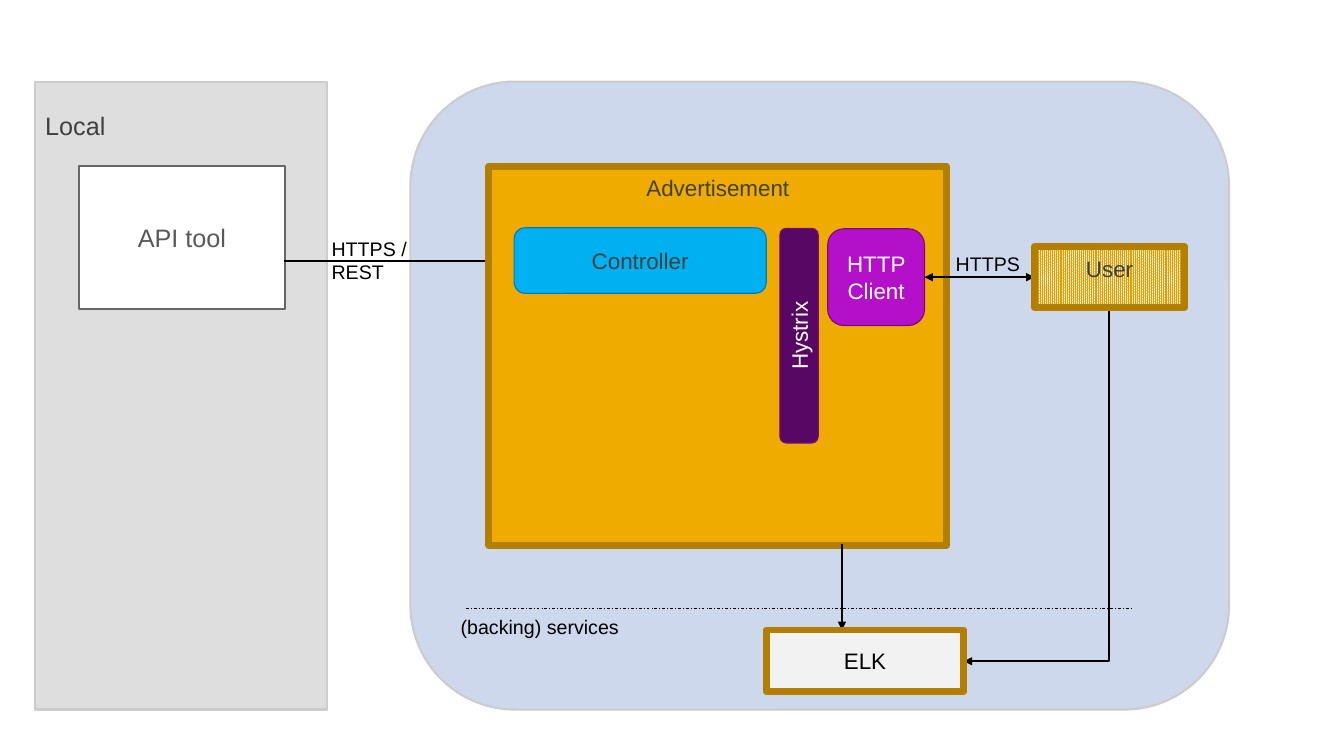
from lxml import etree
from pptx import Presentation
from pptx.dml.color import RGBColor
from pptx.enum.dml import MSO_LINE, MSO_PATTERN
from pptx.enum.shapes import MSO_CONNECTOR, MSO_SHAPE
from pptx.enum.text import MSO_ANCHOR, PP_ALIGN
from pptx.oxml.ns import qn
from pptx.util import Inches, Pt

RECT = MSO_SHAPE.RECTANGLE
ROUND = MSO_SHAPE.ROUNDED_RECTANGLE
STRAIGHT = MSO_CONNECTOR.STRAIGHT
DASH = MSO_LINE.DASH_DOT
PCT90 = MSO_PATTERN.PERCENT_90
LEFT, CENTER = PP_ALIGN.LEFT, PP_ALIGN.CENTER
TOP, MIDDLE = MSO_ANCHOR.TOP, MSO_ANCHOR.MIDDLE

COLORS = {
    "black": "000000", "white": "FFFFFF", "dark": "404040", "text": "595959",
    "edge": "666666", "pale": "F2F2F2", "rim": "CCCCCC", "gray": "B8B8B8",
    "cloud": "94ABD8", "amber": "F0AB00", "gold": "DE9F00", "brown": "B27F00",
    "sky": "00B0F0", "blue": "0076CB", "pink": "B410CA", "plum": "760A85",
    "grape": "580864",
}


def color(name):
    return RGBColor.from_string(COLORS[name])


def write(frame, text, size=16, ink="dark", align=CENTER, anchor=MIDDLE,
          top=0.08, low=0.08, wrap=True, font="Arial"):
    frame.word_wrap = wrap
    frame.vertical_anchor = anchor
    frame.margin_left = frame.margin_right = Inches(0.1)
    frame.margin_top, frame.margin_bottom = Inches(top), Inches(low)
    para = frame.paragraphs[0]
    para.alignment = align
    run = para.add_run()
    run.text = text
    run.font.name, run.font.size = font, Pt(size)
    run.font.color.rgb = color(ink)


class Board:
    """Holds the style and the current slide."""

    wire = 1.25
    small = 14

    def __init__(self, slide):
        self.shapes = slide.shapes

    def box(self, kind, area, fill, line, width, text=None, alpha=None,
            back=None, turn=0, **form):
        shape = self.shapes.add_shape(kind, *map(Inches, area))
        shape.shadow.inherit = False
        shape.rotation = turn
        if back:
            shape.fill.patterned()
            shape.fill.pattern = PCT90
            shape.fill.fore_color.rgb = color(fill)
            shape.fill.back_color.rgb = color(back)
        else:
            shape.fill.solid()
            shape.fill.fore_color.rgb = color(fill)
        if alpha:
            tone = shape._element.spPr.find(qn("a:solidFill"))[0]
            etree.SubElement(tone, qn("a:alpha"), val=str(alpha * 1000))
        shape.line.color.rgb = color(line)
        shape.line.width = Pt(width)
        if text:
            write(shape.text_frame, text, **form)

    def label(self, area, text, wrap=True):
        frame = self.shapes.add_textbox(*map(Inches, area)).text_frame
        write(frame, text, self.small, "black", LEFT, TOP, 0.05, 0.05, wrap)

    def link(self, start, end, ends=("tailEnd",), width=wire, dash=None):
        line = self.shapes.add_connector(
            STRAIGHT, *map(Inches, (*start, *end)))
        line.line.color.rgb = color("black")
        line.line.width = Pt(width)
        if dash:
            line.line.dash_style = dash
        props = line._element.spPr
        for end in ends:
            etree.SubElement(props.find(qn("a:ln")), qn("a:" + end),
                             type="triangle")
        etree.SubElement(props, qn("a:effectLst"))
        return line

    def bend(self, start, end):
        """One corner: down from start, then left to end."""
        (x1, y1), (x2, y2) = start, end
        long, short = (y2 - y1) / 2, (x1 - x2) / 2
        mid, cen = (x1 + x2) / 2, (y1 + y2) / 2
        line = self.link((mid - long, cen - short), (mid + long, cen + short))
        props = line._element.spPr
        props.find(qn("a:xfrm")).set("rot", "5400000")
        props.find(qn("a:prstGeom")).set("prst", "bentConnector2")


def main():
    deck = Presentation()
    deck.slide_width, deck.slide_height = Inches(13.33), Inches(7.5)
    board = Board(deck.slides.add_slide(deck.slide_layouts[6]))

    # Local side and cloud
    board.box(RECT, (0.35, 0.81, 2.89, 6.23), "gray", "rim", 1.5, "Local",
              alpha=46, size=18, align=LEFT, anchor=TOP, top=0.28)
    board.box(RECT, (0.78, 1.65, 2.05, 1.42), "white", "edge", 1.5,
              "API tool", size=18, ink="text")
    board.box(ROUND, (4.07, 0.81, 8.12, 6.23), "cloud", "rim", 1.5, alpha=46)

    # Protocols
    board.link((2.82, 2.59), (5.1, 2.59))
    board.label((9.38, 2.45, 0.85, 0.34), "HTTPS", wrap=False)
    board.label((3.19, 2.3, 1.47, 0.57), "HTTPS / REST")

    # Advertisement service
    board.box(RECT, (4.85, 1.65, 4.54, 3.76), "amber", "brown", 5,
              "Advertisement", anchor=TOP)
    board.box(ROUND, (5.1, 2.26, 2.5, 0.65), "sky", "blue", 0.79,
              "Controller")
    board.box(ROUND, (8.21, 2.27, 0.96, 0.96), "pink", "plum", 0.79,
              "HTTP Client", ink="white")
    board.box(ROUND, (6.86, 3.14, 2.13, 0.38), "grape", "plum", 0.79,
              "Hystrix", turn=270, ink="white")

    # Calls between services
    board.link((10.26, 2.75), (9.17, 2.75), ("headEnd", "tailEnd"))
    board.link((8.35, 5.4), (8.35, 6.25))
    board.bend((11, 3.05), (9.56, 6.56))
    board.box(RECT, (10.26, 2.45, 1.49, 0.6), "gold", "brown", 5, "User",
              back="white", anchor=TOP)

    # Backing services
    board.link((4.62, 6.04), (11.22, 6.04), (), 0.5, DASH)
    board.label((4.47, 6.05, 1.88, 0.34), "(backing) services")
    board.box(RECT, (7.6, 6.25, 1.96, 0.61), "pale", "brown", 5, "ELK",
              ink="black")

    deck.save("out.pptx")


if __name__ == "__main__":
    main()
